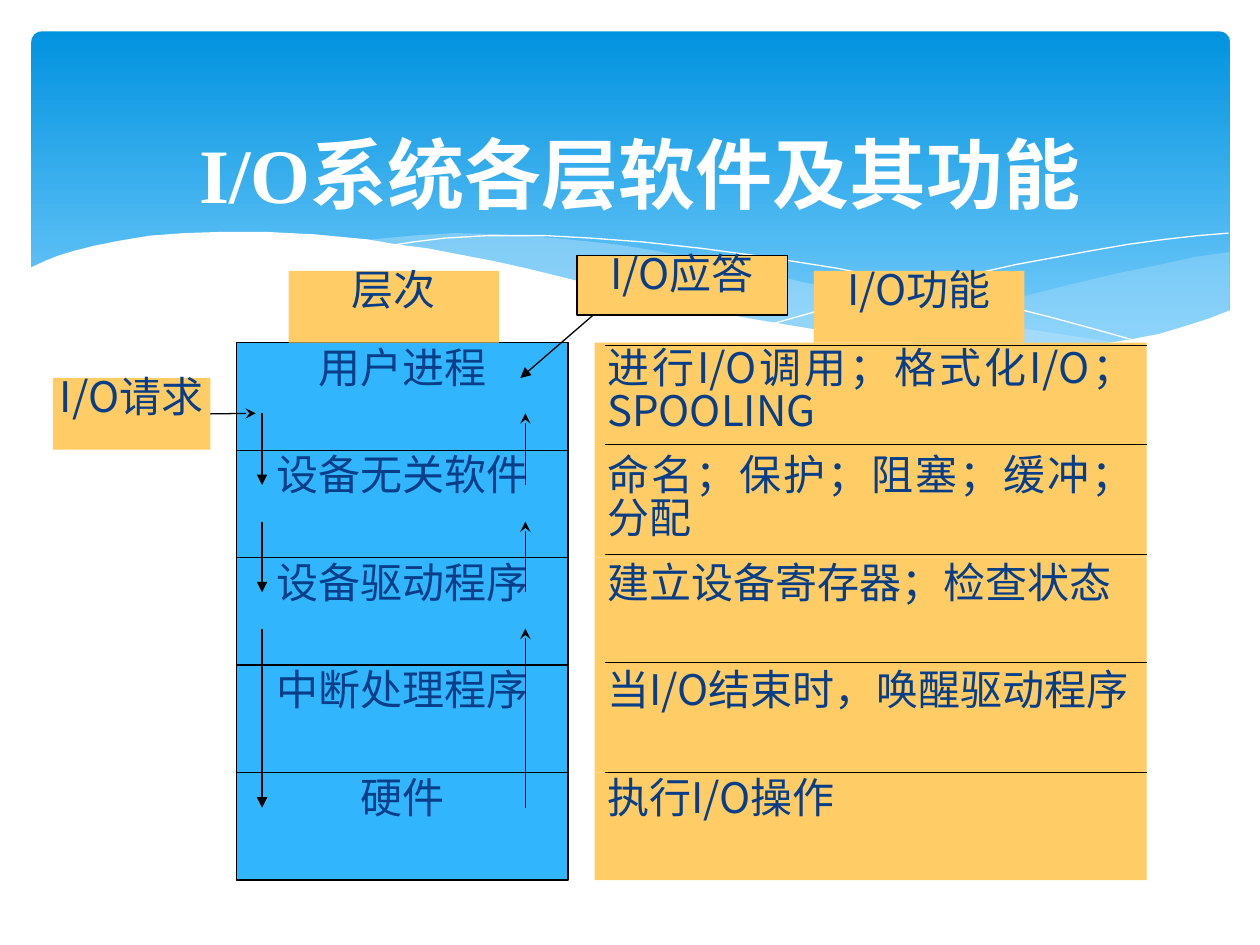
from dataclasses import dataclass

import lxml.etree
import pptx
import pptx.dml.color
import pptx.enum.shapes
import pptx.enum.text
import pptx.oxml.ns
import pptx.util

Inches = pptx.util.Inches
Pt = pptx.util.Pt
RGBColor = pptx.dml.color.RGBColor
PP_ALIGN = pptx.enum.text.PP_ALIGN
MSO_SHAPE = pptx.enum.shapes.MSO_SHAPE
qn = pptx.oxml.ns.qn

WHITE = RGBColor(0xFF, 0xFF, 0xFF)
BLACK = RGBColor(0x00, 0x00, 0x00)
NAVY = RGBColor(0x07, 0x3E, 0x87)
BLUE = RGBColor(0x31, 0xB6, 0xFD)
AMBER = RGBColor(0xFF, 0xCC, 0x66)
SKY_TOP = RGBColor(0x02, 0x93, 0xE0)
SKY_BOTTOM = RGBColor(0x83, 0xD3, 0xFE)
MIST = RGBColor(0xC6, 0xE7, 0xFC)

BODY_FONT = "Noto Sans CJK JP"
TITLE_FONT = "Times New Roman"
LINE_SPACING = 0.85

ROW_TOP = 2.72
ROW_H = 0.853
LAYER_X, LAYER_W = 1.88, 2.63
FUNC_X, FUNC_W = 4.72, 4.38
DOWN_X, UP_X = 2.08, 4.17
RULE_X = 4.8


@dataclass
class Layer:
    name: str
    function: str


@dataclass
class Box:
    text: str
    x: float
    y: float
    w: float
    h: float
    fill: RGBColor = AMBER
    outlined: bool = False
    align: PP_ALIGN = PP_ALIGN.CENTER
    inset_x: float = 0
    inset_y: float = 0


@dataclass
class Wave:
    points: list[tuple[float, float]]
    fill: RGBColor | None = None
    opacity: int = 100


LAYERS = [
    Layer("用户进程", "进行I/O调用；格式化I/O；SPOOLING"),
    Layer("设备无关软件", "命名；保护；阻塞；缓冲；分配"),
    Layer("设备驱动程序", "建立设备寄存器；检查状态"),
    Layer("中断处理程序", "当I/O结束时，唤醒驱动程序"),
    Layer("硬件", "执行I/O操作"),
]

LABELS = [
    Box("层次", 2.29, 2.15, 1.67, 0.57),
    Box("I/O应答", 4.58, 2.03, 1.67, 0.47, outlined=True),
    Box("I/O功能", 6.46, 2.15, 1.67, 0.57),
]
REQUEST = Box("I/O请求", 0.42, 3, 1.25, 0.57)

WAVES = [
    Wave([(9.76, 2), (9.48, 2.04), (9.21, 2.1), (8.91, 2.16), (8.61, 2.23), (8.05, 2.37),
          (7.53, 2.48), (7.06, 2.57), (6.61, 2.65), (6.91, 2.69), (7.18, 2.73), (7.45, 2.75),
          (7.69, 2.77), (8.03, 2.78), (8.35, 2.77), (8.63, 2.75), (8.89, 2.72), (9.13, 2.67),
          (9.35, 2.62), (9.49, 2.57), (9.63, 2.52), (9.76, 2.47)], MIST, 29),
    Wave([(8.93, 2.73), (8.66, 2.69), (8.07, 2.6), (7.41, 2.47), (6.68, 2.31), (6.29, 2.22),
          (5.98, 2.14), (5.69, 2.08), (5.41, 2.03), (5.14, 1.98), (4.89, 1.94), (4.41, 1.89),
          (3.99, 1.86), (3.61, 1.85), (3.28, 1.87), (2.86, 1.91), (3.23, 1.96), (3.62, 2.03),
          (4.04, 2.11), (4.49, 2.22), (4.91, 2.32), (5.3, 2.4), (5.84, 2.52), (6.18, 2.58),
          (6.5, 2.64), (6.8, 2.68), (7.09, 2.72), (7.36, 2.75), (7.61, 2.77), (7.96, 2.79),
          (8.28, 2.78), (8.57, 2.77), (8.76, 2.75)], MIST, 40),
    Wave([(3.09, 1.95), (3.28, 1.92), (3.53, 1.89), (3.87, 1.87), (4.33, 1.87), (4.69, 1.89),
          (5.1, 1.92), (5.56, 1.97), (6.08, 2.04), (6.65, 2.13), (7.27, 2.26), (7.6, 2.33),
          (7.95, 2.42), (8.31, 2.51), (8.68, 2.61), (9.07, 2.72)]),
    Wave([(6.13, 2.57), (6.52, 2.46), (6.95, 2.35), (7.48, 2.23), (8.06, 2.1), (8.66, 1.99),
          (8.95, 1.94), (9.24, 1.9), (9.51, 1.87), (9.75, 1.85)]),
    Wave([(9.77, 2.46), (9.59, 2.53), (9.4, 2.59), (9.2, 2.65), (8.99, 2.69), (8.75, 2.73),
          (8.5, 2.75), (8.09, 2.77), (7.78, 2.76), (7.44, 2.74), (7.08, 2.7), (6.68, 2.65),
          (6.26, 2.58), (5.79, 2.5), (5.29, 2.39), (4.75, 2.27), (4.18, 2.13), (3.91, 2.07),
          (3.65, 2.02), (3.39, 1.97), (3.15, 1.94), (2.92, 1.9), (2.71, 1.88), (2.5, 1.86),
          (2.11, 1.84), (1.76, 1.84), (1.46, 1.85), (1.19, 1.87), (0.95, 1.91), (0.75, 1.95),
          (0.59, 1.99), (0.46, 2.03), (0.36, 2.07), (0.23, 2.13), (0.23, 3.29), (9.77, 3.29)],
         WHITE),
]


def style_paragraph(p, size: float, font: str, color: RGBColor, align: PP_ALIGN, bold: bool = False):
    p.alignment = align
    for r in p.runs:
        r.font.size = Pt(size)
        r.font.name = font
        r.font.bold = bold
        r.font.color.rgb = color
        ea = lxml.etree.SubElement(r._r.get_or_add_rPr(), qn("a:ea"))
        ea.set("typeface", BODY_FONT)


def add_box(shapes, box: Box):
    sp = shapes.add_shape(MSO_SHAPE.RECTANGLE, Inches(box.x), Inches(box.y), Inches(box.w), Inches(box.h))
    sp.shadow.inherit = False
    sp.fill.solid()
    sp.fill.fore_color.rgb = box.fill
    if box.outlined:
        sp.line.color.rgb = BLACK
        sp.line.width = Pt(0.75)
    else:
        sp.line.fill.background()
    tf = sp.text_frame
    tf.word_wrap = True
    tf.vertical_anchor = pptx.enum.text.MSO_ANCHOR.TOP
    tf.margin_left = tf.margin_right = Inches(box.inset_x)
    tf.margin_top = tf.margin_bottom = Inches(box.inset_y)
    tf.text = box.text
    p = tf.paragraphs[0]
    p.line_spacing = LINE_SPACING
    style_paragraph(p, 24, BODY_FONT, NAVY, box.align)
    return sp


def add_line(shapes, x1: float, y1: float, x2: float, y2: float, arrow: str | None = None):
    cx = shapes.add_connector(pptx.enum.shapes.MSO_CONNECTOR.STRAIGHT,
                              Inches(x1), Inches(y1), Inches(x2), Inches(y2))
    cx.line.color.rgb = BLACK
    cx.line.width = Pt(0.75)
    if arrow:
        lxml.etree.SubElement(cx.line._get_or_add_ln(), qn("a:tailEnd")).set("type", arrow)
    lxml.etree.SubElement(cx._element.spPr, qn("a:effectLst"))
    return cx


def add_wave(shapes, wave: Wave):
    points = [(Inches(x), Inches(y)) for x, y in wave.points]
    builder = shapes.build_freeform(*points[0])
    builder.add_line_segments(points[1:], close=wave.fill is not None)
    sp = builder.convert_to_shape()
    sp.shadow.inherit = False
    if wave.fill is None:
        sp.fill.background()
        sp.line.color.rgb = WHITE
        sp.line.width = Pt(0)
        return
    sp.line.fill.background()
    sp.fill.solid()
    sp.fill.fore_color.rgb = wave.fill
    if wave.opacity < 100:
        color = sp._element.spPr.find(qn("a:solidFill")).find(qn("a:srgbClr"))
        lxml.etree.SubElement(color, qn("a:alpha")).set("val", str(wave.opacity * 1000))


def add_banner(shapes):
    sp = shapes.add_shape(MSO_SHAPE.ROUNDED_RECTANGLE, Inches(0.25), Inches(0.25), Inches(9.51), Inches(2.7))
    sp.adjustments[0] = 0.03
    sp.shadow.inherit = False
    sp.line.fill.background()
    sp.fill.gradient()
    sp.fill.gradient_angle = 270
    for stop, color in zip(sp.fill.gradient_stops, (SKY_TOP, SKY_BOTTOM)):
        stop.color.rgb = color
    for wave in WAVES:
        add_wave(shapes, wave)


def add_title(shapes):
    sp = shapes.add_textbox(Inches(0.65), Inches(0.88), Inches(9), Inches(0.98))
    tf = sp.text_frame
    tf.word_wrap = True
    tf.vertical_anchor = pptx.enum.text.MSO_ANCHOR.MIDDLE
    tf.text = "I/O系统各层软件及其功能 "
    style_paragraph(tf.paragraphs[0], 44, TITLE_FONT, WHITE, PP_ALIGN.CENTER, bold=True)


def add_layers(shapes):
    for i, layer in enumerate(LAYERS):
        y = ROW_TOP + i * ROW_H
        add_box(shapes, Box(layer.name, LAYER_X, y, LAYER_W, ROW_H, BLUE, True,
                            inset_x=0.1, inset_y=0.05))
        add_box(shapes, Box(layer.function, FUNC_X, y, FUNC_W, ROW_H, align=PP_ALIGN.JUSTIFY,
                            inset_x=0.1, inset_y=0.05))


def add_flows(shapes):
    for top, bottom in ((3.28, 3.85), (4.14, 4.7), (4.99, 6.41)):
        add_line(shapes, DOWN_X, top, DOWN_X, bottom, "triangle")
        add_line(shapes, UP_X, bottom, UP_X, top, "stealth")
    add_line(shapes, 4.79, 2.43, 4.13, 3, "triangle")


def main():
    prs = pptx.Presentation()
    prs.slide_width, prs.slide_height = Inches(10), Inches(7.5)
    shapes = prs.slides.add_slide(prs.slide_layouts[6]).shapes
    add_banner(shapes)
    add_title(shapes)
    add_layers(shapes)
    add_flows(shapes)
    for label in LABELS:
        add_box(shapes, label)
    request = add_box(shapes, REQUEST)
    add_line(shapes, 1.67, 3.28, 2.03, 3.28, "stealth").begin_connect(request, 3)
    for y in (2.74, 3.53, 4.4, 5.26, 6.13):
        add_line(shapes, RULE_X, y, FUNC_X + FUNC_W, y)
    prs.save("out.pptx")


if __name__ == "__main__":
    main()
